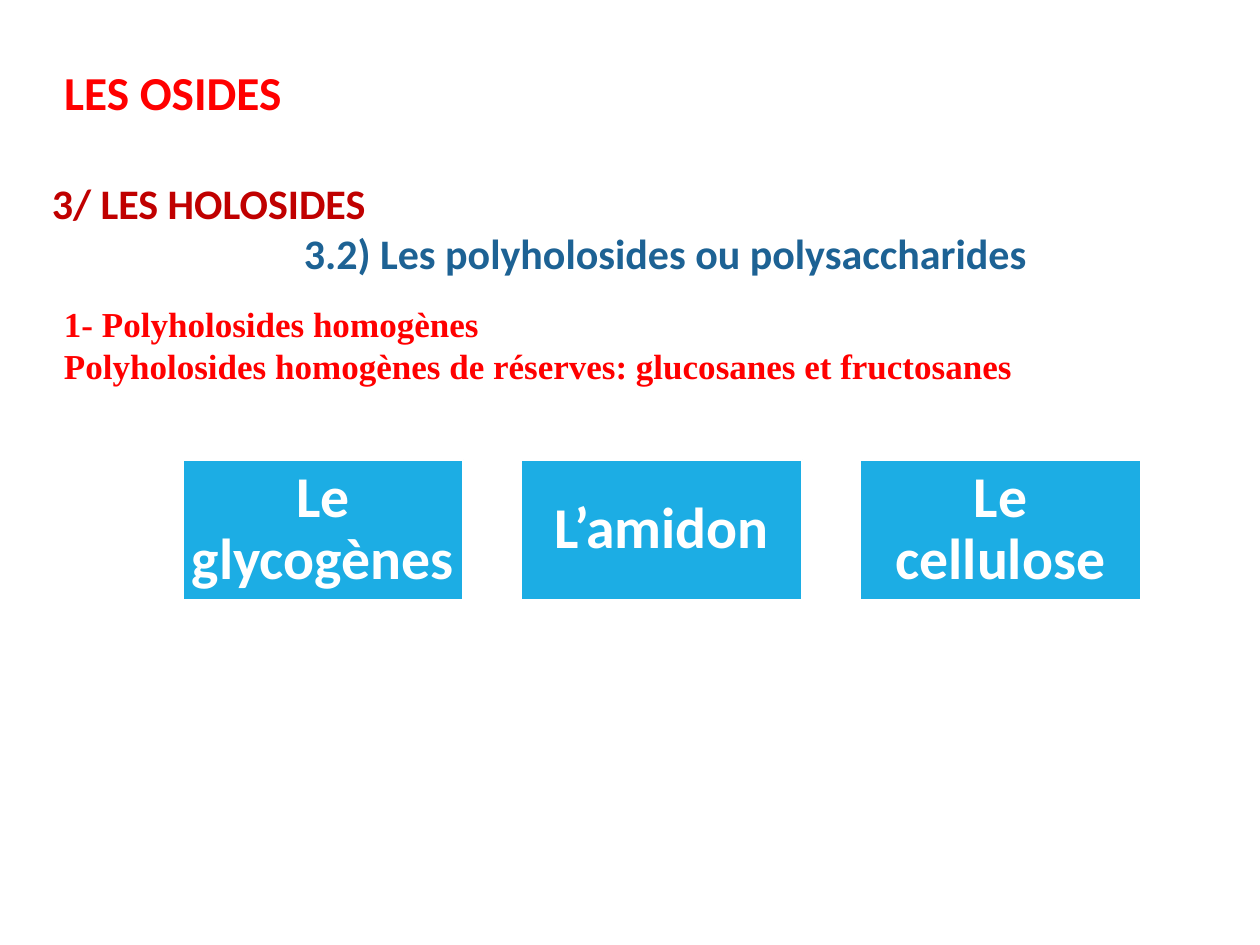
import pptx
import pptx.util
from pptx.dml.color import RGBColor
from pptx.enum.shapes import MSO_SHAPE
from pptx.enum.text import MSO_ANCHOR, MSO_AUTO_SIZE, PP_ALIGN
from pptx.oxml.ns import qn
from pptx.util import Cm

RED = RGBColor(0xFF, 0x00, 0x00)
DARK_RED = RGBColor(0xC0, 0x00, 0x00)
BLUE = RGBColor(0x1D, 0x62, 0x94)
SKY = RGBColor(0x1C, 0xAD, 0xE4)
WHITE = RGBColor(0xFF, 0xFF, 0xFF)


class SlideBuilder:
    """Holds the style and the current slide."""

    heading_font = "Calibri"
    text_font = "Times New Roman"

    def __init__(self, presentation):
        self.slide = presentation.slides.add_slide(presentation.slide_layouts[1])

    def fill_text(self, shape, lines, size, font, align=PP_ALIGN.LEFT, anchor=MSO_ANCHOR.TOP):
        """Fill a shape with (text, colour, indent) lines."""
        frame = shape.text_frame
        frame.text = "\n".join(text for text, colour, indent in lines)
        frame.word_wrap = True
        frame.auto_size = MSO_AUTO_SIZE.NONE
        frame.vertical_anchor = anchor
        for paragraph, (text, colour, indent) in zip(frame.paragraphs, lines):
            paragraph.alignment = align
            paragraph.space_before = pptx.util.Pt(0)
            properties = paragraph._p.get_or_add_pPr()
            properties.set("marL", str(int(indent)))
            properties.set("indent", "0")
            properties.append(properties.makeelement(qn("a:buNone"), {}))
            for run in paragraph.runs:
                run.font.name = font
                run.font.size = pptx.util.Pt(size)
                run.font.bold = True
                run.font.color.rgb = colour

    def place(self, shape, left, top, width, height):
        shape.left, shape.top, shape.width, shape.height = left, top, width, height

    def title(self, text, *box):
        shape = self.slide.shapes.title
        self.place(shape, *box)
        self.fill_text(shape, [(text, RED, 0)], 27, self.heading_font)

    def body(self, lines, *box):
        shape = self.slide.placeholders[1]
        self.place(shape, *box)
        self.fill_text(shape, lines, 24, self.heading_font)

    def text(self, lines, *box):
        shape = self.slide.shapes.add_textbox(*box)
        self.fill_text(shape, lines, 20, self.text_font)

    def block(self, text, *box):
        shape = self.slide.shapes.add_shape(MSO_SHAPE.RECTANGLE, *box)
        shape.shadow.inherit = False
        shape.fill.solid()
        shape.fill.fore_color.rgb = SKY
        shape.line.color.rgb = WHITE
        shape.line.width = pptx.util.Pt(1.25)
        self.fill_text(shape, [(text, WHITE, 0)], 33, self.heading_font,
                       PP_ALIGN.CENTER, MSO_ANCHOR.MIDDLE)
        frame = shape.text_frame
        frame.margin_left = frame.margin_right = Cm(0.05)
        frame.margin_top = frame.margin_bottom = Cm(0.05)
        frame.paragraphs[0].line_spacing = 0.9


def main():
    presentation = pptx.Presentation()
    presentation.slide_width = Cm(25.4)
    presentation.slide_height = Cm(19.05)
    builder = SlideBuilder(presentation)

    # Headings
    builder.title("LES OSIDES", Cm(1.04), Cm(1.14), Cm(22.53), Cm(1.42))
    builder.body([("3/ LES HOLOSIDES", DARK_RED, 0),
                  ("3.2) Les polyholosides ou polysaccharides", BLUE, Cm(5.08))],
                 Cm(0.79), Cm(3.45), Cm(22.28), Cm(3.33))
    builder.text([("1- Polyholosides homogènes", RED, 0),
                  ("Polyholosides homogènes de réserves: glucosanes et fructosanes", RED, 0)],
                 Cm(1.04), Cm(5.97), Cm(23.95), Cm(3.68))

    # Row of examples, evenly spaced
    for column, name in enumerate(["Le glycogènes", "L’amidon", "Le cellulose"]):
        builder.block(name, Cm(3.68 + 6.83 * column), Cm(9.27), Cm(5.66), Cm(2.82))

    presentation.save("out.pptx")


if __name__ == "__main__":
    main()
